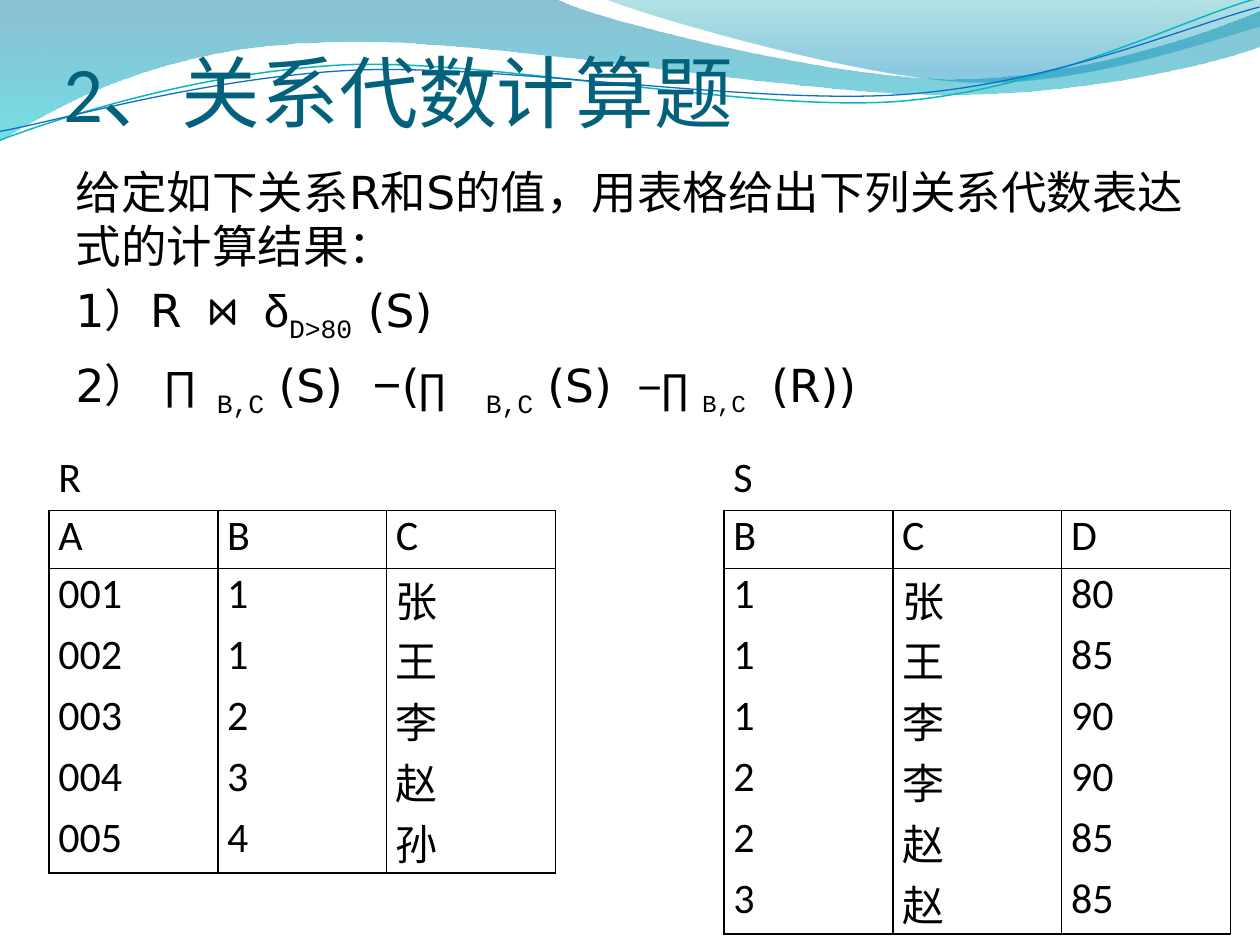
"""Build a slide with a relational algebra exercise and its two relations."""
from lxml import etree
from pptx import Presentation
from pptx.dml.color import RGBColor
from pptx.enum import text as text_enum
from pptx.oxml import ns
from pptx.util import Pt

LATIN, SANS, MONO, GREEK = "Calibri", "DejaVu Sans", "Courier New", "Arial"
SUBSCRIPT = {"font": MONO, "baseline": -25}
SYMBOL = {"font": MONO, "size": 24}

LEFT_WAVE = [(0, 0), (317, -1), (343, 12, 478, 45, 546, 45), (614, 45, 690, 19, 720, 6),
             (721, 26), (708, 32, 626, 55, 537, 54), (448, 54, 275, 20, 185, 24),
             (93, 26, 33, 60, -1, 81)]
RIGHT_WAVE = [(345, -1), (366, 8, 491, 45, 554, 47), (616, 50, 692, 23, 720, 15), (720, 0)]
TEAL_LINE = [(-1.4, 63.1), (34.2, 51.7, 114.3, 29.4, 199.4, 29.4),
             (284.4, 30.5, 425.9, 67.2, 512, 65.2), (599.3, 62.3, 676.1, 25.9, 720.6, 15.9)]
BLUE_LINE = [(-1.1, 58.1), (33.1, 53.7, 118.2, 32.6, 204.3, 32.7),
             (290.3, 33.7, 429.1, 63.3, 515.3, 61.4), (601.5, 59.4, 679, 30, 721.1, 21)]

QUESTION = [
    [("给定如下关系R和S的值，用表格给出下列关系代数表达式的计算结果：", {})],
    [("1）R", {}), (" ⋈ ", {"font": MONO}), ("δ", {"font": GREEK}),
     ("D>80 ", SUBSCRIPT), ("(S)", {})],
    [("2）", {}), (" ∏ ", SYMBOL), (" B,C", SUBSCRIPT), (" (S)", {}),
     (" −", {"font": MONO, "size": 28}), ("(", {}), ("∏ ", SYMBOL), (" B,C", SUBSCRIPT),
     (" (S)", {}), (" −∏", SYMBOL), (" B,C", {**SUBSCRIPT, "size": 24}), (" ", SYMBOL),
     ("(R))", {})],
]
RELATION_R = ["A B C", "001 1 张", "002 1 王", "003 2 李", "004 3 赵", "005 4 孙"]
RELATION_S = ["B C D", "1 张 80", "1 王 85", "1 李 90", "2 李 90", "2 赵 85", "3 赵 85"]


def color(value):
    return RGBColor.from_string(value)


def add_text(paragraph, text, size=26, font=SANS, fill="000000", baseline=0):
    run = paragraph.add_run()
    run.text = text
    run.font.size = Pt(size)
    run.font.name = font
    run.font.color.rgb = color(fill)
    if baseline:
        run._r.get_or_add_rPr().set("baseline", str(baseline * 1000))


def bend(shape, steps):
    segments = list(shape._element.spPr.iter(ns.qn("a:lnTo")))
    for step in steps[1:]:
        corners, segments = segments[:len(step) // 2], segments[len(step) // 2:]
        if len(corners) == 3:
            curve = etree.Element(ns.qn("a:cubicBezTo"))
            corners[0].addprevious(curve)
            for corner in corners:
                curve.append(corner[0])
                corner.getparent().remove(corner)


class SlideBuilder:
    def __init__(self, slide):
        self.slide = slide
        self.ink = "000000"
        self.accent = "04617B"

    def outline(self, steps, close):
        points = [(Pt(x), Pt(y)) for step in steps for x, y in zip(step[::2], step[1::2])]
        builder = self.slide.shapes.build_freeform(*points[0], scale=1.0)
        builder.add_line_segments(points[1:], close=close)
        shape = builder.convert_to_shape()
        shape.shadow.inherit = False
        bend(shape, steps)
        return shape

    def wave(self, steps, stops):
        shape = self.outline(steps, True)
        shape.line.fill.background()
        shape.fill.gradient()
        shape.fill.gradient_angle = 270
        for stop, (value, _, _) in zip(shape.fill.gradient_stops, stops):
            stop.color.rgb = color(value)
        elements = shape._element.spPr.iter(ns.qn("a:gs"))
        for element, (_, position, alpha) in zip(elements, stops):
            element.set("pos", str(position * 1000))
            etree.SubElement(element[0], ns.qn("a:alpha"), val=str(alpha * 1000))

    def curve(self, steps, value, width):
        shape = self.outline(steps, False)
        shape.rotation = 357.3
        shape.fill.background()
        shape.line.color.rgb = color(value)
        shape.line.width = Pt(width)

    def placeholder(self, shape, left, top, width, height, anchor):
        shape.left, shape.top, shape.width, shape.height = map(Pt, (left, top, width, height))
        frame = shape.text_frame
        frame.word_wrap = True
        frame.auto_size = text_enum.MSO_AUTO_SIZE.NONE
        frame.vertical_anchor = anchor
        self.slide.shapes._spTree.append(shape._element)
        return frame

    def title(self, text):
        frame = self.placeholder(self.slide.shapes.title, 36, 18, 648, 61,
                                 text_enum.MSO_ANCHOR.BOTTOM)
        frame.margin_left = frame.margin_right = frame.margin_bottom = 0
        paragraph = frame.paragraphs[0]
        paragraph.alignment = text_enum.PP_ALIGN.LEFT
        add_text(paragraph, text, size=45, font=LATIN, fill=self.accent)

    def body(self, paragraphs):
        frame = self.placeholder(self.slide.placeholders[1], 36, 90, 648, 186,
                                 text_enum.MSO_ANCHOR.TOP)
        for index, runs in enumerate(paragraphs):
            paragraph = frame.add_paragraph() if index else frame.paragraphs[0]
            paragraph.space_before = Pt(5.2 if index else 0)
            properties = paragraph._p.get_or_add_pPr()
            properties.set("marL", "0")
            properties.set("indent", "0")
            etree.SubElement(properties, ns.qn("a:buNone"))
            for text, style in runs:
                add_text(paragraph, text, **style)

    def borders(self, cell, sides):
        properties = cell._tc.get_or_add_tcPr()
        for side in "LRTB":
            line = etree.SubElement(properties, ns.qn(f"a:ln{side}"), w=str(Pt(1)))
            if side in sides:
                fill = etree.SubElement(line, ns.qn("a:solidFill"))
                etree.SubElement(fill, ns.qn("a:srgbClr"), val=self.ink)
            else:
                etree.SubElement(line, ns.qn("a:noFill"))

    def cell(self, cell, text):
        cell.margin_left = cell.margin_right = Pt(5.4)
        cell.margin_top = cell.margin_bottom = 0
        paragraph = cell.text_frame.paragraphs[0]
        paragraph.alignment = text_enum.PP_ALIGN.JUSTIFY
        add_text(paragraph, text, size=24, font=LATIN, fill=self.ink)

    def relation(self, table, first_column, name, rows):
        self.cell(table.cell(0, first_column), name)
        for row, values in enumerate(rows, start=1):
            sides = "LR" + ("T" if row <= 2 else "") + ("B" if row in (1, len(rows)) else "")
            for column, value in enumerate(values.split(), start=first_column):
                self.cell(table.cell(row, column), value)
                self.borders(table.cell(row, column), sides)

    def table(self, relations):
        rows, columns = 8, 7
        table = self.slide.shapes.add_table(rows, columns, Pt(28), Pt(258.75),
                                            Pt(96.45 * columns), Pt(33 * rows)).table
        table.first_row = table.horz_banding = False
        style = table._tbl.tblPr.find(ns.qn("a:tableStyleId"))
        style.text = "{2D5ABB26-0587-4C30-8999-92F81FD0307C}"
        for first_column, name, values in relations:
            self.relation(table, first_column, name, values)
        for cell in table.iter_cells():
            cell.fill.background()


def main():
    presentation = Presentation()
    presentation.slide_width, presentation.slide_height = Pt(720), Pt(540)
    slide = presentation.slides.add_slide(presentation.slide_layouts[1])
    builder = SlideBuilder(slide)
    builder.wave(LEFT_WAVE, [("0074A1", 0, 45), ("00C6CF", 100, 55)])
    builder.wave(RIGHT_WAVE, [("00A1A9", 0, 30), ("008BBF", 80, 45)])
    builder.curve(TEAL_LINE, "0AB8BF", 0.85)
    builder.curve(BLUE_LINE, "0F6FC6", 0.75)
    builder.title("2、关系代数计算题")
    builder.body(QUESTION)
    builder.table([(0, "R", RELATION_R), (4, "S", RELATION_S)])
    presentation.save("out.pptx")


if __name__ == "__main__":
    main()
